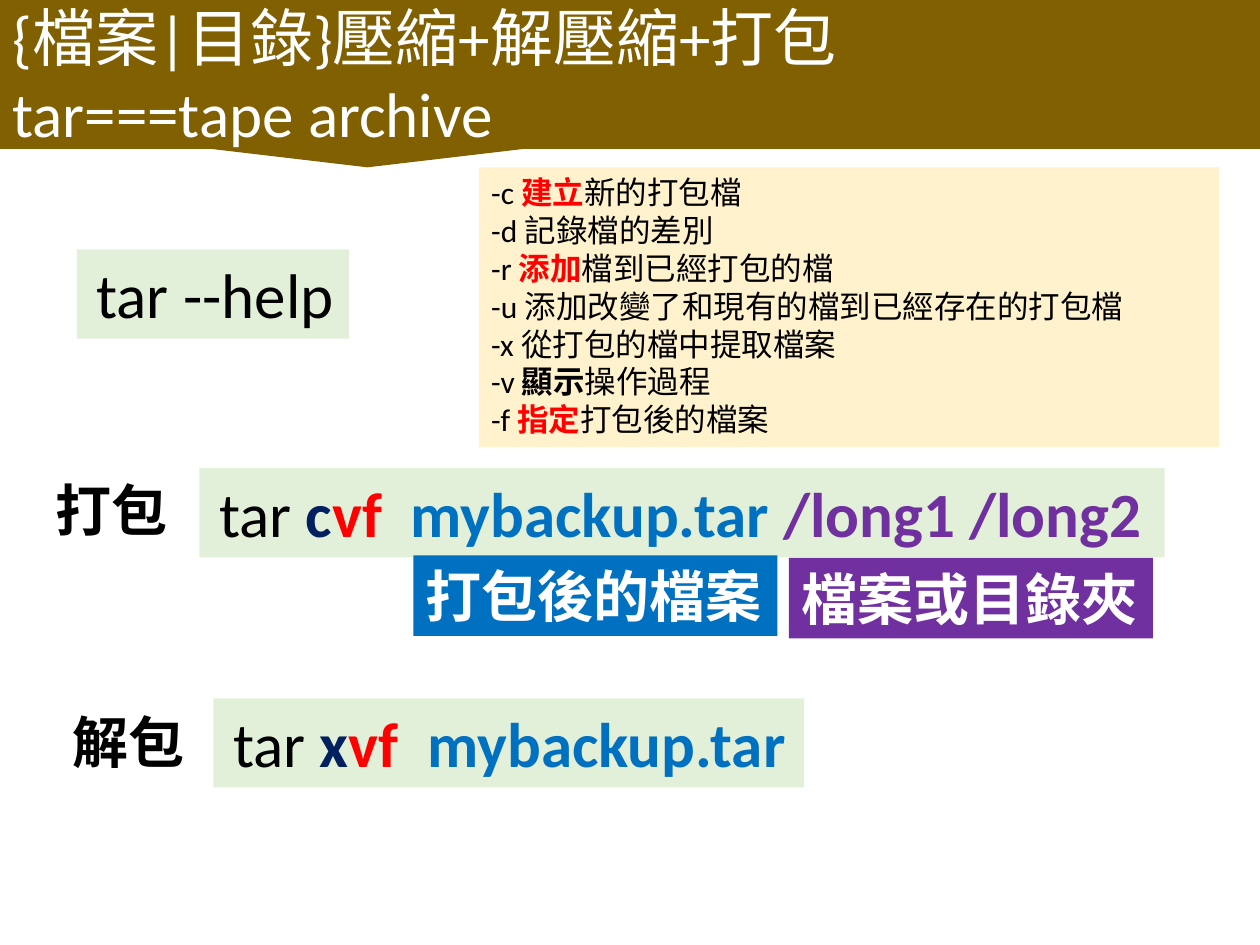
from pptx import Presentation
from pptx.dml.color import RGBColor
from pptx.enum.shapes import MSO_SHAPE
from pptx.enum.text import MSO_ANCHOR, MSO_AUTO_SIZE, PP_ALIGN
from pptx.util import Pt

HUES = {
    "brown": "806000", "green": "E2F0D9", "cream": "FFF2CC",
    "black": "000000", "white": "FFFFFF", "red": "FF0000",
    "navy": "002060", "blue": "0070C0", "purple": "7030A0",
}

# Option flag, stressed word, its colour, rest of the line
FLAGS = [
    ("-c ", "建立", "red", "新的打包檔"),
    ("-d ", "", "black", "記錄檔的差別"),
    ("-r ", "添加", "red", "檔到已經打包的檔"),
    ("-u ", "", "black", "添加改變了和現有的檔到已經存在的打包檔"),
    ("-x ", "", "black", "從打包的檔中提取檔案"),
    ("-v ", "顯示", "black", "操作過程"),
    ("-f ", "指定", "red", "打包後的檔案"),
]


def tint(hue):
    return RGBColor.from_string(HUES[hue])


def write(para, text, size=18, hue="black", bold=False):
    run = para.add_run()
    run.text = text
    font = run.font
    font.name, font.size, font.bold = "Calibri", Pt(size), bold
    font.color.rgb = tint(hue)


def setup(shape, wrap=False, anchor=MSO_ANCHOR.TOP, fit=MSO_AUTO_SIZE.SHAPE_TO_FIT_TEXT):
    frame = shape.text_frame
    frame.word_wrap, frame.vertical_anchor, frame.auto_size = wrap, anchor, fit
    frame.paragraphs[0].alignment = PP_ALIGN.LEFT
    return frame


def block(slide, box, hue, kind=MSO_SHAPE.RECTANGLE, **form):
    shape = slide.shapes.add_shape(kind, *map(Pt, box))
    shape.shadow.inherit = False
    shape.fill.solid()
    shape.fill.fore_color.rgb = tint(hue)
    shape.line.fill.background()
    return setup(shape, **form)


def add_line(frame, first):
    para = frame.paragraphs[0] if first else frame.add_paragraph()
    para.alignment = PP_ALIGN.LEFT
    return para


def title(slide, lines):
    frame = block(slide, (0, 0, 720, 85), "brown", MSO_SHAPE.RECTANGULAR_CALLOUT,
                  wrap=True, anchor=MSO_ANCHOR.MIDDLE, fit=MSO_AUTO_SIZE.NONE)
    for i, text in enumerate(lines):
        write(add_line(frame, i == 0), text, size=36, hue="white")


def command(slide, left, top, width, head, *parts):
    para = block(slide, (left, top, width, 51), "green").paragraphs[0]
    write(para, " ")
    write(para, head, size=36)
    for text, hue in parts:
        write(para, text, size=36, hue=hue, bold=True)


def tag(slide, left, top, text, hue):
    frame = block(slide, (left, top, 208, 46), hue)
    write(frame.paragraphs[0], text, size=32, hue="white", bold=True)


def label(slide, left, top, text):
    shape = slide.shapes.add_textbox(Pt(left), Pt(top), Pt(79), Pt(46))
    write(setup(shape).paragraphs[0], text, size=32, bold=True)


def panel(slide):
    frame = block(slide, (273.6, 95.6, 423, 160), "cream", wrap=True)
    for i, (flag, word, hue, rest) in enumerate(FLAGS):
        para = add_line(frame, i == 0)
        if word:
            write(para, flag)
            write(para, word, hue=hue, bold=True)
            write(para, rest)
        else:
            write(para, flag + rest)


def main():
    deck = Presentation()
    deck.slide_width, deck.slide_height = Pt(720), Pt(540)
    slide = deck.slides.add_slide(deck.slide_layouts[6])

    # Heading and help
    title(slide, ["{檔案|目錄}壓縮+解壓縮+打包", "tar===tape archive"])
    command(slide, 44, 142.5, 155.5, "tar --help")

    # Packing
    command(slide, 114, 267.5, 551.5, "tar ", ("c", "navy"), ("vf  ", "red"),
            ("mybackup.tar ", "blue"), ("/long1 /long2", "purple"))
    label(slide, 24.5, 268, "打包")
    tag(slide, 450.8, 318.8, "檔案或目錄夾", "purple")
    tag(slide, 236.3, 317.3, "打包後的檔案", "blue")

    # Unpacking
    label(slide, 34.5, 401, "解包")
    command(slide, 122, 399, 337.5, "tar ", ("x", "navy"), ("vf  ", "red"),
            ("mybackup.tar", "blue"))

    # Option list
    panel(slide)
    deck.save("out.pptx")


if __name__ == "__main__":
    main()
